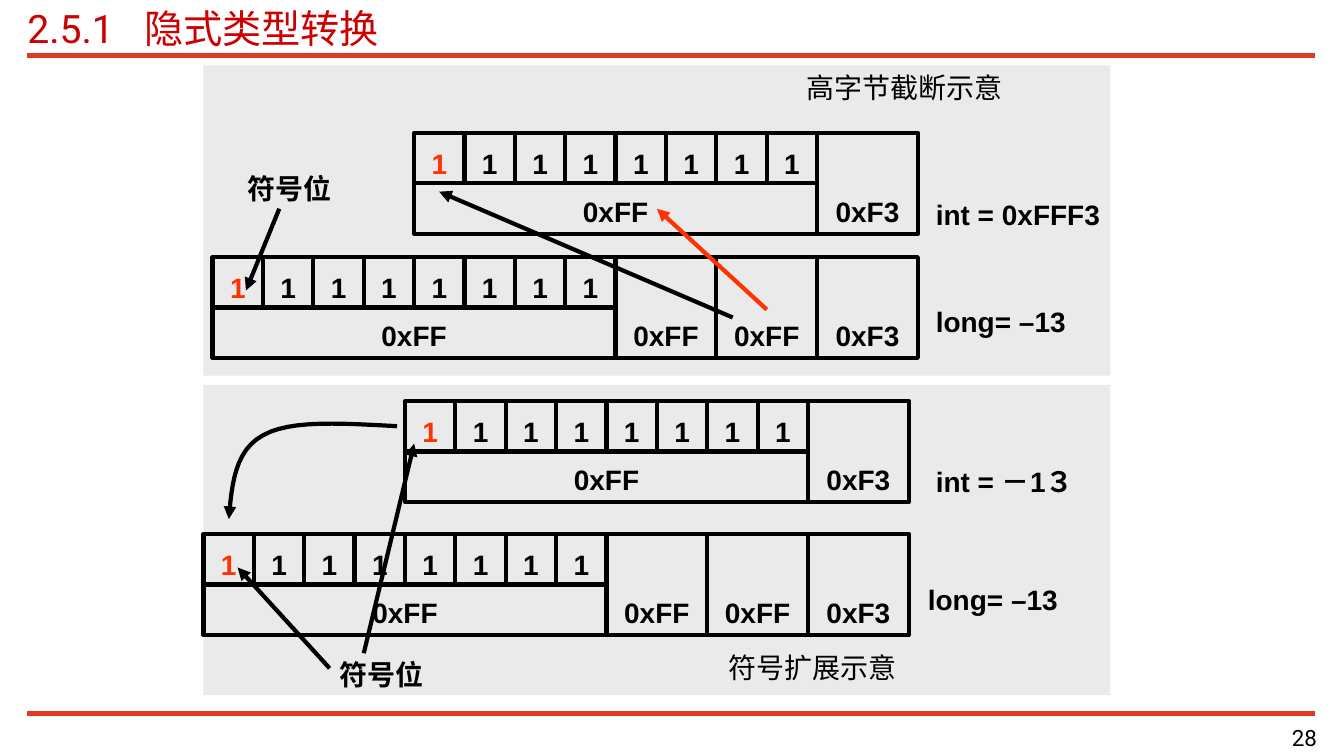
from typing import NamedTuple

from lxml.etree import SubElement as add_node
from pptx import Presentation
from pptx.dml.color import RGBColor as Rgb
from pptx.enum.shapes import MSO_CONNECTOR as Joint, MSO_SHAPE as Form
from pptx.enum.text import MSO_ANCHOR as Anchor, PP_ALIGN as Align
from pptx.oxml.ns import qn
from pptx.util import Cm, Pt

BLACK, RED, RULE, GRAY = "000000", "FF3300", "E13A23", "EAEAEA"
BIT, BYTE, COUNT = 1.27, 2.54, 8
Point = tuple[float, float]


class Font(NamedTuple):
    size: float = 20
    color: str = BLACK
    bold: bool = True
    face: str = "Arial"


class Word(NamedTuple):
    left: float
    top: float
    text: str
    font: Font = Font()
    width: float = 5
    height: float = 1.12
    align: Align = Align.LEFT
    inset: float = 0.25


class Row(NamedTuple):
    left: float
    top: float
    tail: tuple[str, ...]


class Arrow(NamedTuple):
    start: Point
    end: Point
    color: str = BLACK


PLAIN = Font(bold=False)
HEAD = Font(28, "CC0000", False, "Roboto")
FOOT = Font(16, BLACK, False, "Roboto")

PANELS = [(5.13, 9.7), (5.13, 1.65)]
RULES = [(1.4, 4), (17.98, 3)]
ROWS = [
    Row(10.44, 3.35, ("0xF3",)),
    Row(5.36, 6.48, ("0xFF", "0xFF", "0xF3")),
    Row(10.21, 10.11, ("0xF3",)),
    Row(5.13, 13.46, ("0xFF", "0xFF", "0xF3")),
]
WORDS = [
    Word(23.34, 4.83, "int = 0xFFF3"),
    Word(23.34, 7.54, "long= –13"),
    Word(23.34, 11.56, "int = －1３"),
    Word(23.14, 14.53, "long= –13"),
    Word(5.99, 4.19, "符号位"),
    Word(8.31, 16.43, "符号位"),
    Word(19.53, 1.65, "高字节截断示意", PLAIN, 6.55, align=Align.CENTER),
    Word(17.2, 16.26, "符号扩展示意", PLAIN, 6.55, align=Align.CENTER),
    Word(26.39, 18.19, "28", FOOT, 6.81, 0.79, Align.RIGHT, 0),
]
ARROWS = [
    Arrow((18.47, 8), (11.07, 4.83)),
    Arrow((7.04, 5.26), (6.2, 7.32)),
    Arrow((9.17, 16.46), (10.44, 11.18)),
    Arrow((8.31, 16.84), (5.99, 14.3)),
    Arrow((19.33, 7.8), (16.56, 5.26), RED),
]
BEND = [(10.01, 10.74), (8.66, 10.67), (7.32, 10.57), (6.63, 10.97),
        (5.92, 11.35), (5.84, 12.22), (5.77, 13.08)]


def paint(part, color: str) -> None:
    part.solid()
    part.fore_color.rgb = Rgb.from_string(color)


def stroke(shape, color: str, width: float) -> None:
    paint(shape.line.fill, color)
    shape.line.width = Pt(width)


def add_tip(shape) -> None:
    add_node(shape.line.fill._xPr, qn("a:tailEnd"), type="triangle")


def add_run(para, text: str, style: Font) -> None:
    run = para.add_run()
    run.text = text
    run.font.size = Pt(style.size)
    run.font.bold = style.bold
    run.font.name = style.face
    paint(run.font.fill, style.color)


def add_word(slide, word: Word):
    box = slide.shapes.add_textbox(
        Cm(word.left), Cm(word.top), Cm(word.width), Cm(word.height))
    frame = box.text_frame
    frame.word_wrap = True
    frame.vertical_anchor = Anchor.MIDDLE
    frame.margin_left = frame.margin_right = Cm(word.inset)
    frame.margin_top = frame.margin_bottom = 0
    para = frame.paragraphs[0]
    para.alignment = word.align
    add_run(para, word.text, word.font)
    return para


def add_title(slide) -> None:
    para = add_word(slide, Word(0.69, 0.1, "2.5.1\t", HEAD, 32.46, 1.19, inset=0))
    stops = add_node(para._p.get_or_add_pPr(), qn("a:tabLst"))
    add_node(stops, qn("a:tab"), pos=str(Cm(2.95)), algn="l")
    add_run(para, "隐式类型转换", HEAD)


def add_panel(slide, left: float, top: float) -> None:
    panel = slide.shapes.add_shape(
        Form.RECTANGLE, Cm(left), Cm(top), Cm(22.86), Cm(7.82))
    panel.shadow.inherit = False
    paint(panel.fill, GRAY)
    panel.line.fill.background()


def add_cell(slide, left: float, top: float, width: float, height: float,
             text: str, drop: float, color: str = BLACK) -> None:
    cell = slide.shapes.add_shape(
        Form.RECTANGLE, Cm(left), Cm(top), Cm(width), Cm(height))
    cell.shadow.inherit = False
    cell.fill.background()
    stroke(cell, BLACK, 3)
    frame = cell.text_frame
    frame.vertical_anchor = Anchor.TOP
    frame.margin_left = frame.margin_right = frame.margin_bottom = 0
    frame.margin_top = Cm(drop)
    para = frame.paragraphs[0]
    para.alignment = Align.CENTER
    add_run(para, text, Font(color=color))


def add_row(slide, row: Row) -> None:
    for i in range(COUNT):
        add_cell(slide, row.left + i * BIT, row.top, BIT, BIT,
                 "1", 0.33, BLACK if i else RED)
    wide = COUNT * BIT
    add_cell(slide, row.left, row.top + BIT, wide, BIT, "0xFF", 0.28)
    for i, text in enumerate(row.tail):
        add_cell(slide, row.left + wide + i * BYTE, row.top,
                 BYTE, BYTE, text, BIT + 0.28)


def add_line(slide, start: Point, end: Point, color: str, width: float):
    line = slide.shapes.add_connector(
        Joint.STRAIGHT, *(Cm(n) for n in start + end))
    stroke(line, color, width)
    add_node(line._element.spPr, qn("a:effectLst"))
    return line


def trace(a: Point, b: Point, c: Point, d: Point, steps: int = 12) -> list[Point]:
    spots = []
    for i in range(1, steps + 1):
        t = i / steps
        u = 1 - t
        spots.append(tuple(
            Cm(u**3 * p + 3 * u * u * t * q + 3 * u * t * t * r + t**3 * s)
            for p, q, r, s in zip(a, b, c, d)))
    return spots


def add_bend(slide) -> None:
    pen = slide.shapes.build_freeform(*(Cm(n) for n in BEND[0]))
    pen.add_line_segments(trace(*BEND[:4]) + trace(*BEND[3:]), close=False)
    bend = pen.convert_to_shape()
    bend.shadow.inherit = False
    bend.fill.background()
    stroke(bend, BLACK, 3)
    add_tip(bend)


def main() -> None:
    deck = Presentation()
    deck.slide_width, deck.slide_height = Cm(33.88), Cm(19.05)
    slide = deck.slides.add_slide(deck.slide_layouts[6])
    for top, width in RULES:
        add_line(slide, (0.69, top), (33.15, top), RULE, width)
    add_title(slide)
    for spot in PANELS:
        add_panel(slide, *spot)
    for row in ROWS:
        add_row(slide, row)
    for arrow in ARROWS:
        add_tip(add_line(slide, arrow.start, arrow.end, arrow.color, 3))
    add_bend(slide)
    for word in WORDS:
        add_word(slide, word)
    deck.save("out.pptx")


if __name__ == "__main__":
    main()
